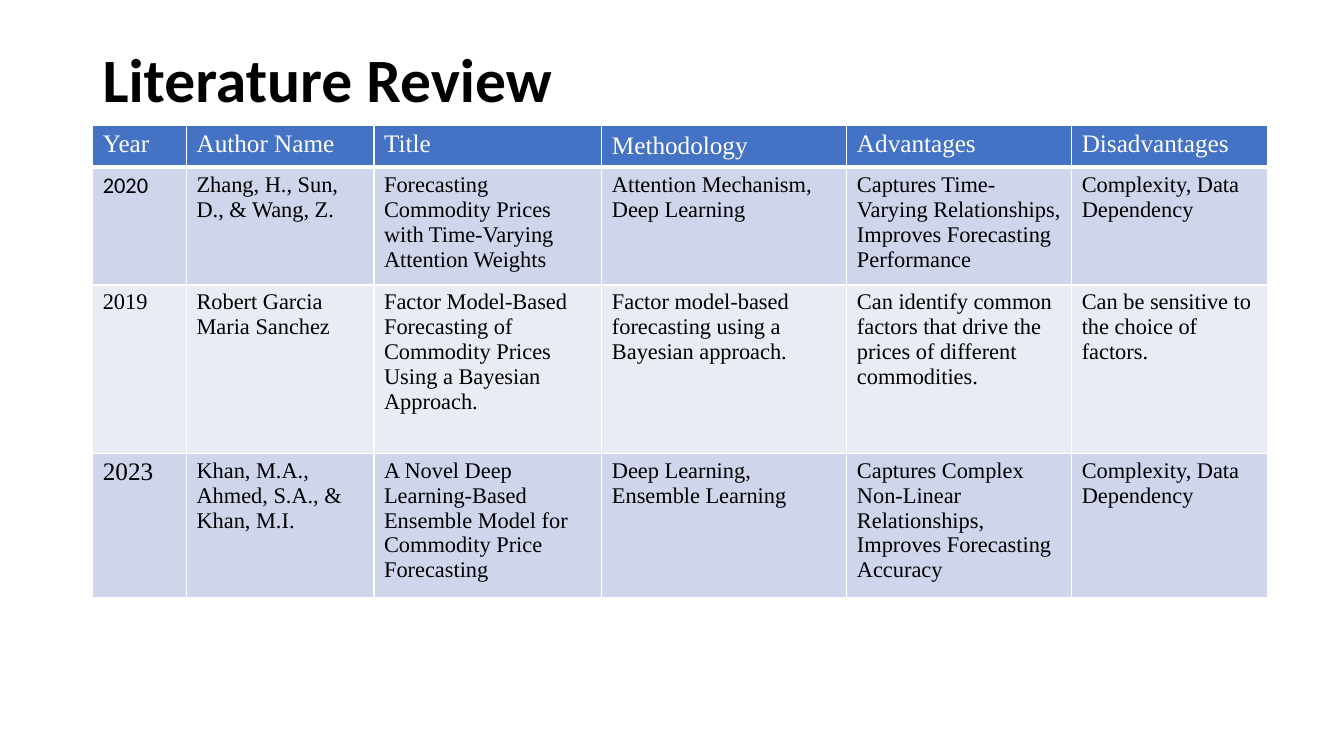
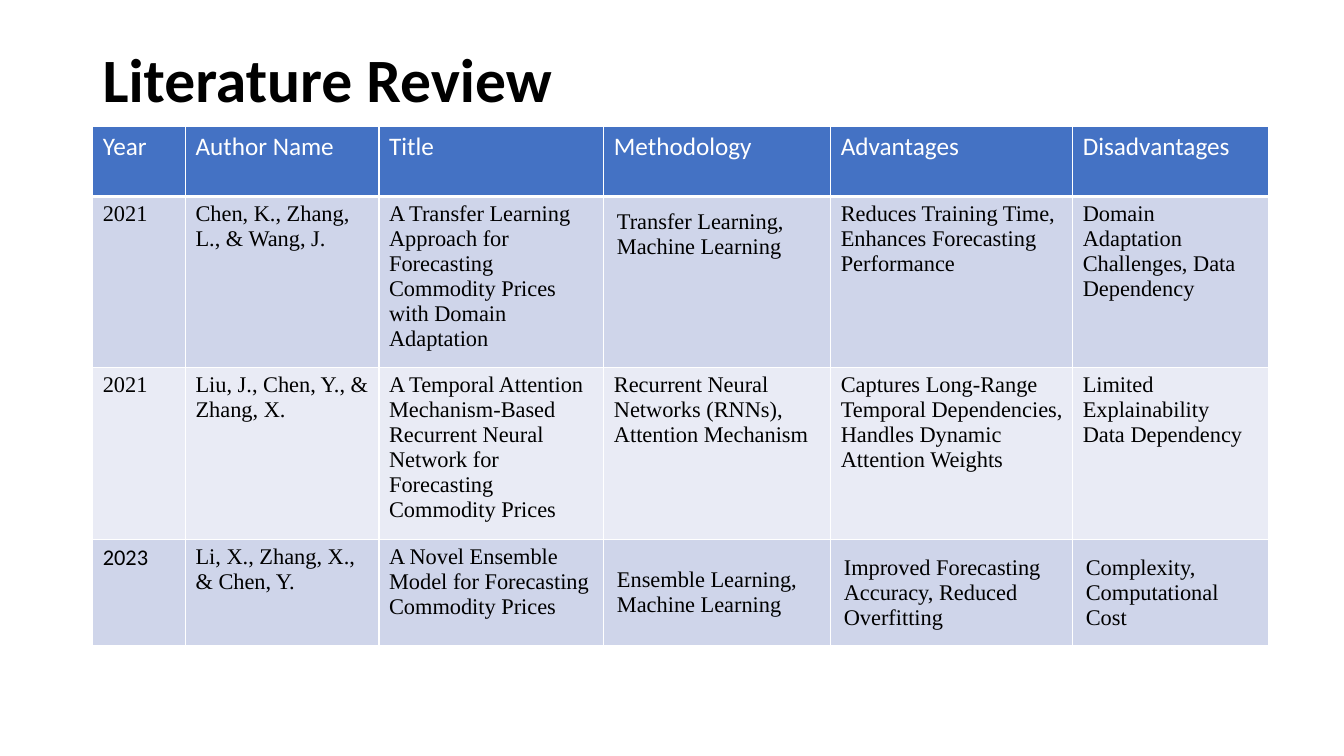
from pptx import Presentation
from pptx.dml.color import RGBColor
from pptx.enum.text import MSO_ANCHOR as Anchor
from pptx.oxml.ns import qn
from pptx.util import Inches, Pt
from lxml.etree import SubElement

COLORS = {
    "header": "4472C4",
    "odd_row": "CFD5EA",
    "even_row": "E9EBF5",
    "white": "FFFFFF",
    "black": "000000",
}
SANS, SERIF = "Calibri", "Times New Roman"
TITLE = "Literature Review"
HEADERS = ["Year", "Author Name", "Title", "Methodology", "Advantages", "Disadvantages"]
BODY_SIZE, HEADER_SIZE = 16, 18
PADDED = {"margin": 0.13}
CENTERED = {"margin": 0.13, "anchor": Anchor.MIDDLE}

# "special" holds the cells, by (row, column), that differ from the table's style
REVIEWS = [
    {
        "top": 1.24,
        "header_font": SERIF,
        "widths": [0.93, 1.86, 2.26, 2.43, 2.23, 1.94],
        "heights": [0.39, 1.09, 1.67, 1.34],
        "papers": [
            ["2020", "Zhang, H., Sun, D., & Wang, Z.",
             "Forecasting Commodity Prices with Time-Varying Attention Weights",
             "Attention Mechanism, Deep Learning",
             "Captures Time-Varying Relationships, Improves Forecasting Performance",
             "Complexity, Data Dependency"],
            ["2019", "Robert Garcia\nMaria Sanchez",
             "Factor Model-Based Forecasting of Commodity Prices Using a Bayesian Approach.",
             "Factor model-based forecasting using a Bayesian approach.",
             "Can identify common factors that drive the prices of different commodities.",
             "Can be sensitive to the choice of factors."],
            ["2023", "Khan, M.A., Ahmed, S.A., & Khan, M.I.",
             "A Novel Deep Learning-Based Ensemble Model for Commodity Price Forecasting",
             "Deep Learning, Ensemble Learning",
             "Captures Complex Non-Linear Relationships, Improves Forecasting Accuracy",
             "Complexity, Data Dependency"],
        ],
        "special": {(0, 3): {"top_margin": 0.07}, (1, 0): {"font": SANS}, (3, 0): {"size": 18}},
    },
    {
        "top": 1.25,
        "header_font": SANS,
        "widths": [0.92, 1.92, 2.23, 2.25, 2.4, 1.94],
        "heights": [0.7, 1.58, 1.59, 1],
        "papers": [
            ["2021", "Chen, K., Zhang, L., & Wang, J.",
             "A Transfer Learning Approach for Forecasting Commodity Prices with Domain Adaptation",
             "Transfer Learning, Machine Learning",
             "Reduces Training Time, Enhances Forecasting Performance",
             "Domain Adaptation Challenges, Data Dependency"],
            ["2021", "Liu, J., Chen, Y., & Zhang, X.",
             "A Temporal Attention Mechanism-Based Recurrent Neural Network for Forecasting "
             "Commodity Prices",
             "Recurrent Neural Networks (RNNs), Attention Mechanism",
             "Captures Long-Range Temporal Dependencies, Handles Dynamic Attention Weights",
             "Limited Explainability\vData Dependency"],
            ["2023", "Li, X., Zhang, X., & Chen, Y.",
             "A Novel Ensemble Model for Forecasting Commodity Prices",
             "Ensemble Learning, Machine Learning",
             "Improved Forecasting Accuracy, Reduced Overfitting",
             "Complexity, Computational Cost"],
        ],
        "special": {(1, 3): PADDED, (3, 0): {"font": SANS},
                    (3, 3): CENTERED, (3, 4): CENTERED, (3, 5): CENTERED},
    },
]


def color(name):
    return RGBColor.from_string(COLORS[name])


def style_text(frame, font, size, ink, bold=False):
    for para in frame.paragraphs:
        para.font.name = font
        para.font.size = Pt(size)
        para.font.bold = bold
        para.font.color.rgb = color(ink)


def add_title(page):
    box = page.shapes.add_textbox(Inches(0.92), Inches(0.09), Inches(11.5), Inches(1.45))
    frame = box.text_frame
    frame.word_wrap = True
    frame.vertical_anchor = Anchor.MIDDLE
    frame.text = TITLE
    frame.paragraphs[0].line_spacing = 0.9
    style_text(frame, SANS, 44, "black", bold=True)


def add_borders(cell, row):
    """Draw white borders, with a thick rule between header and body."""
    properties = cell._tc.get_or_add_tcPr()
    thick_side = {0: "lnB", 1: "lnT"}.get(row)
    for side in ("lnL", "lnR", "lnT", "lnB"):
        width = Pt(3 if side == thick_side else 1)
        line = SubElement(properties, qn(f"a:{side}"), w=str(width))
        fill = SubElement(line, qn("a:solidFill"))
        SubElement(fill, qn("a:srgbClr"), val=COLORS["white"])


def fill_cell(cell, text, row, header_font, special):
    is_header = row == 0
    add_borders(cell, row)
    cell.fill.solid()
    cell.fill.fore_color.rgb = color("header" if is_header else "odd_row" if row % 2 else "even_row")
    margin = special.get("margin", 0.1)
    cell.margin_left = cell.margin_right = Inches(margin)
    vertical = special.get("margin", 0.05)
    cell.margin_top = Inches(special.get("top_margin", vertical))
    cell.margin_bottom = Inches(vertical)
    cell.vertical_anchor = special.get("anchor", Anchor.TOP)
    cell.text = text
    style_text(
        cell.text_frame,
        special.get("font", header_font if is_header else SERIF),
        special.get("size", HEADER_SIZE if is_header else BODY_SIZE),
        "white" if is_header else "black",
    )


def add_review_table(page, review):
    rows = [HEADERS] + review["papers"]
    widths, heights = review["widths"], review["heights"]
    table = page.shapes.add_table(
        len(rows), len(HEADERS), Inches(0.92), Inches(review["top"]),
        Inches(sum(widths)), Inches(sum(heights)),
    ).table
    for column, width in zip(table.columns, widths):
        column.width = Inches(width)
    for row, texts in enumerate(rows):
        table.rows[row].height = Inches(heights[row])
        for column, text in enumerate(texts):
            special = review["special"].get((row, column), {})
            fill_cell(table.cell(row, column), text, row, review["header_font"], special)


def main():
    deck = Presentation()
    deck.slide_width, deck.slide_height = Inches(13.33), Inches(7.5)
    for review in REVIEWS:
        page = deck.slides.add_slide(deck.slide_layouts[6])
        add_title(page)
        add_review_table(page, review)
    deck.save("out.pptx")


if __name__ == "__main__":
    main()
